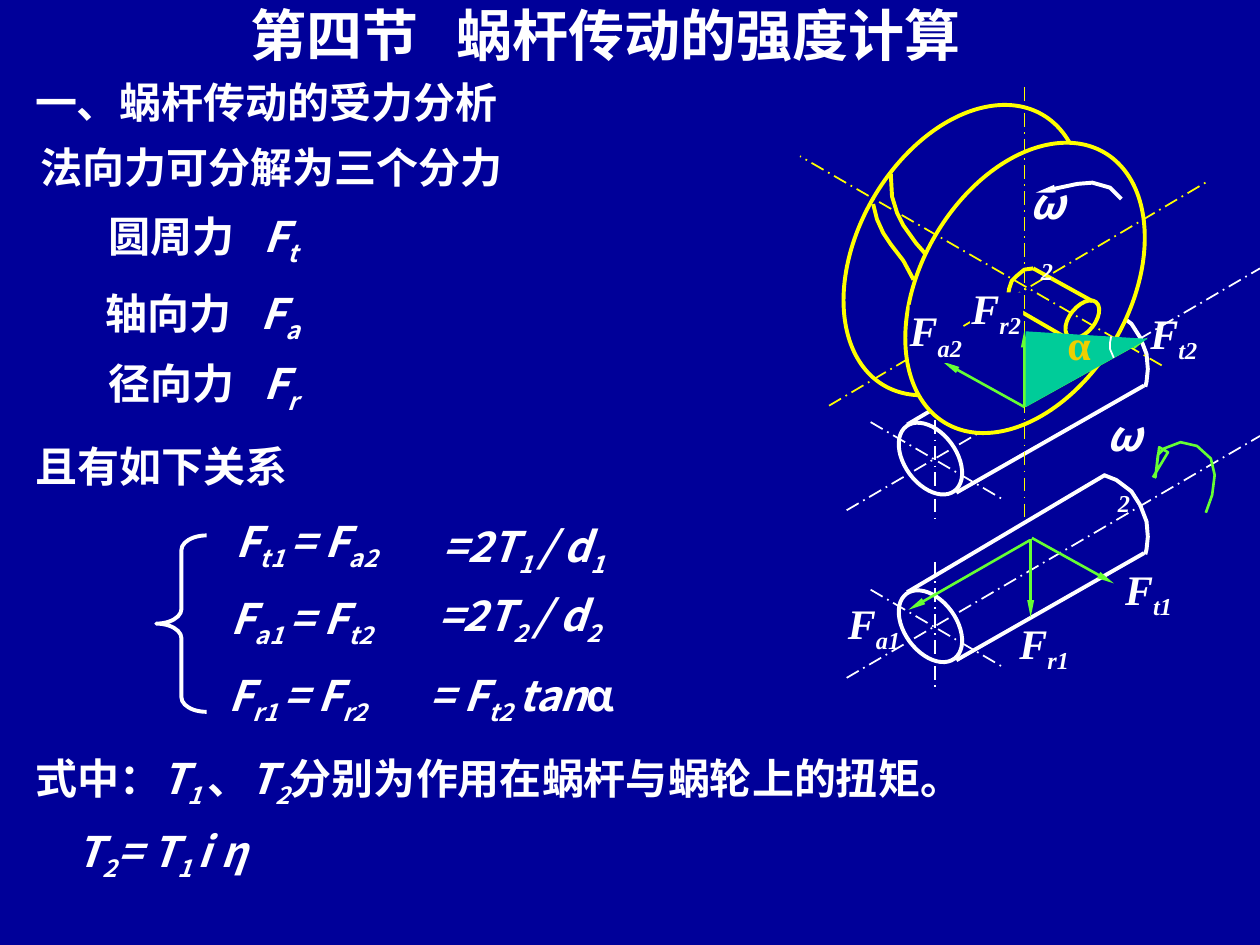
from pptx import Presentation
from pptx.dml.color import RGBColor
from pptx.enum.dml import MSO_LINE
from pptx.enum.shapes import MSO_CONNECTOR, MSO_SHAPE
from pptx.enum.text import MSO_ANCHOR, PP_ALIGN
from pptx.oxml.ns import qn
from pptx.util import Cm, Pt
from lxml.etree import SubElement

NAVY, WHITE, YELLOW, GREEN = "000099", "FFFFFF", "FFFF00", "66FF33"
SANS, SERIF = "Noto Sans CJK SC", "Times New Roman"
WORM_GAP = 1.33


def rgb(code):
    """Turn a hex string into a colour."""
    return RGBColor.from_string(code)


def u(value):
    """Turn a grid unit of 2.54 cm into a length."""
    return Cm(value * 2.54)


def style_line(shape, color, width, dash=False, arrow=False):
    """Format a line or outline."""
    ln = shape.line
    ln.fill.solid()
    ln.fill.fore_color.rgb = rgb(color)
    ln.width = Pt(width)
    if dash:
        ln.dash_style = MSO_LINE.LONG_DASH_DOT
    if arrow:
        SubElement(ln._get_or_add_ln(), qn("a:tailEnd"), type="triangle", w="sm", len="lg")


def style_shape(shape, fill, color, width, arrow=False):
    """Format the fill and outline of a shape."""
    shape.shadow.inherit = False
    if fill:
        shape.fill.solid()
        shape.fill.fore_color.rgb = rgb(fill)
    else:
        shape.fill.background()
    if color:
        style_line(shape, color, width, arrow=arrow)
    else:
        shape.line.fill.background()


def add_line(s, x1, y1, x2, y2, color=WHITE, width=2.25, dash=False, arrow=False):
    """Add a straight line."""
    c = s.shapes.add_connector(MSO_CONNECTOR.STRAIGHT, u(x1), u(y1), u(x2), u(y2))
    style_line(c, color, width, dash, arrow)
    SubElement(c._element.spPr, qn("a:effectLst"))


def add_axis(s, *ends, color=WHITE):
    """Add a dash-dot centre line."""
    add_line(s, *ends, color=color, width=1, dash=True)


def add_shape(s, kind, x, y, w, h, fill=None, color=None, width=2.25, rotation=0):
    """Add a preset shape."""
    sp = s.shapes.add_shape(kind, u(x), u(y), u(w), u(h))
    style_shape(sp, fill, color, width)
    sp.rotation = rotation
    return sp


def add_path(s, points, fill=None, color=None, width=2.25, arrow=False):
    """Add a polyline, closed when it has a fill."""
    start, *rest = [(u(x), u(y)) for x, y in points]
    fb = s.shapes.build_freeform(*start)
    fb.add_line_segments(rest, close=bool(fill))
    style_shape(fb.convert_to_shape(), fill, color, width, arrow)


def write(tf, text, size=24, font=SANS, sub_font=None, color=WHITE, align=PP_ALIGN.LEFT,
          wrap=True, inset=False, tab=None, spacing=None):
    """Write text whose parts between bars alternate normal and subscript."""
    tf.word_wrap = wrap
    tf.vertical_anchor = MSO_ANCHOR.TOP
    tf.margin_left = tf.margin_right = Cm(0.25 if inset else 0)
    tf.margin_top = tf.margin_bottom = Cm(0.13 if inset else 0)
    p = tf.paragraphs[0]
    p.alignment = align
    if spacing:
        p.line_spacing = spacing
    if tab:
        tabs = SubElement(p._p.get_or_add_pPr(), qn("a:tabLst"))
        SubElement(tabs, qn("a:tab"), pos=str(Cm(tab)), algn="l")
    for i, part in enumerate(text.split("|")):
        if not part:
            continue
        r = p.add_run()
        r.text = part
        r.font.name = sub_font if sub_font and i % 2 else font
        r.font.size, r.font.bold = Pt(size), True
        r.font.italic = not any(ch == "α" or ch > "\u2000" for ch in part)
        r.font.color.rgb = rgb(color)
        rPr = r.font._element
        SubElement(rPr, qn("a:ea"), typeface=SANS)
        if i % 2:
            rPr.set("baseline", "-25000")


def add_text(s, text, x, y, w, h=0.46, **fmt):
    """Add a text box."""
    write(s.shapes.add_textbox(u(x), u(y), u(w), u(h)).text_frame, text, **fmt)


def add_worm(s, dy):
    """Draw the worm shaft with its centre lines."""
    add_axis(s, 6.72, 4.05 + dy, 10, 2.13 + dy)
    add_shape(s, MSO_SHAPE.OVAL, 7.18, 3.32 + dy, 0.41, 0.64, color=WHITE, rotation=323.6)
    add_line(s, 7.59, 3.91 + dy, 9.08, 3.06 + dy)
    add_line(s, 7.2, 3.37 + dy, 8.77, 2.44 + dy)
    end = [(8.76, 2.44), (8.86, 2.48), (8.98, 2.57), (9.05, 2.68),
           (9.1, 2.81), (9.11, 2.93), (9.1, 3.03), (9.09, 3.07)]
    add_path(s, [(x, y + dy) for x, y in end], color=WHITE)
    add_axis(s, 6.91, 3.35 + dy, 7.97, 3.97 + dy)
    add_axis(s, 7.42, 3.13 + dy, 7.42, 4.15 + dy)


def add_wheel(s):
    """Draw the worm wheel with its hub and centre lines."""
    for x, y, fill in [(6.82, 0.74, None), (7.31, 1.04, NAVY)]:
        add_shape(s, MSO_SHAPE.OVAL, x, y, 1.65, 2.49, fill, YELLOW, rotation=30.4)
    for ends in [(6.58, 3.22, 9.6, 1.43), (8.13, 0.69, 8.13, 4.1), (9.22, 2.9, 6.35, 1.24)]:
        add_axis(s, *ends, color=YELLOW)
    teeth = [[(7.07, 1.38), (7.08, 1.56), (7.12, 1.69), (7.17, 1.79), (7.27, 1.93), (7.34, 2.01)],
             [(6.93, 1.62), (6.96, 1.74), (7.01, 1.85), (7.07, 1.94), (7.17, 2.07), (7.25, 2.22)]]
    hub = [(8.2, 2.13), (8.13, 2.14), (8.07, 2.19), (8.03, 2.23),
           (8.01, 2.29), (8, 2.35), (8.01, 2.4), (8.03, 2.44)]
    for points in teeth + [hub]:
        add_path(s, points, color=YELLOW)
    add_shape(s, MSO_SHAPE.OVAL, 8.49, 2.36, 0.2, 0.35, color=YELLOW, rotation=38.6)
    add_line(s, 8.67, 2.39, 8.2, 2.13, YELLOW)
    add_line(s, 8.46, 2.68, 8.01, 2.42, YELLOW)


def add_force(s, name, ends, x, y, mask=None):
    """Draw a force arrow with its label."""
    add_line(s, *ends, color=GREEN, width=1.5, arrow=True)
    if mask:
        add_shape(s, MSO_SHAPE.RECTANGLE, *mask, fill=NAVY)
    add_text(s, f"F|{name}", x, y, 0.5, font=SERIF, wrap=False)


def add_forces(s):
    """Draw all forces on the wheel and the worm."""
    add_force(s, "t2", (8.14, 3.22, 9.11, 2.68), 9.13, 2.44)
    add_force(s, "r2", (8.13, 3.23, 8.13, 2.62), 7.71, 2.24, (7.7, 2.32, 0.42, 0.34))
    add_force(s, "a2", (8.13, 3.23, 7.48, 2.87), 7.22, 2.42, (7.22, 2.42, 0.42, 0.46))
    add_force(s, "t1", (8.19, 4.27, 8.84, 4.63), 8.93, 4.47)
    add_force(s, "r1", (8.18, 4.28, 8.18, 4.9), 8.09, 4.9)
    add_force(s, "a1", (8.17, 4.29, 7.21, 4.84), 6.73, 4.74)


def add_rotations(s):
    """Draw the rotation arrows with their labels."""
    add_path(s, [(8.9, 1.58), (8.81, 1.49), (8.67, 1.45), (8.55, 1.46), (8.22, 1.53)],
             color=WHITE, arrow=True)
    add_path(s, [(9.57, 4.07), (9.62, 3.93), (9.64, 3.77), (9.61, 3.64), (9.5, 3.54),
                 (9.37, 3.51), (9.24, 3.56), (9.19, 3.61), (9.17, 3.79), (9.2, 3.55),
                 (9.27, 3.59), (9.15, 3.79)], color=GREEN, width=1.5)
    for x, y in [(8.16, 1.41), (8.77, 3.25)]:
        add_text(s, "ω|2", x, y, 0.3, sub_font=SERIF, align=PP_ALIGN.CENTER)


def add_angle(s):
    """Draw the pressure angle triangle."""
    add_path(s, [(8.14, 2.63), (8.14, 3.23), (9.11, 2.69)], fill="00CC99")
    add_path(s, [(8.82, 2.67), (8.81, 2.72), (8.81, 2.77), (8.84, 2.84)], color=WHITE, width=1)
    add_text(s, "α", 8.47, 2.64, 0.19, 0.28, font=SERIF, color="EECF00",
             align=PP_ALIGN.CENTER, wrap=False, spacing=0.7)


def add_notes_column(s):
    """Write the explanations and formulas."""
    add_text(s, "一、蜗杆传动的受力分析", 0.18, 0.56, 3.97, 0.5, font=SERIF, inset=True)
    add_text(s, "法向力可分解为三个分力", 0.32, 1.12, 4.95, 0.4)
    for text, x, y in [("圆周力\t||F|t", 0.86, 1.67), ("轴向力\t||F|a", 0.84, 2.28),
                       ("径向力\t||F|r", 0.86, 2.84)]:
        add_text(s, text, x, y, 2.1, tab=3.12)
    add_text(s, "且有如下关系", 0.28, 3.5, 3.32, 0.4)
    brace = add_shape(s, MSO_SHAPE.LEFT_BRACE, 1.24, 4.25, 0.4, 1.4, color=WHITE)
    brace.adjustments[0] = 0.29
    for text, x, y, w in [("F|t1 |= F|a2 ", 1.65, 4.04, 1.61), ("F|a1 |= F|t2 ", 1.61, 4.65, 1.61),
                          ("F|r1 |= F|r2 ", 1.58, 5.26, 1.61), ("=2T|1 |/ d|1 ", 3.11, 4.08, 2.14),
                          ("=2T|2 |/ d|2 ", 3.17, 4.63, 1.95)]:
        add_text(s, text, x, y, w, 0.56, align=PP_ALIGN.CENTER, inset=True)
    add_text(s, "= F|t2 |tan||α", 3.31, 5.26, 2.17, 0.56, inset=True)
    add_text(s, "式中：||T|1 |、||T|2|分别为作用在蜗杆与蜗轮上的扭矩。", 0.28, 5.97, 8.76)
    add_text(s, "T|2|= T|1 |i η", 0.51, 6.5, 2.22, 0.56, inset=True)


def add_title(s, text):
    """Place and format the title."""
    sp = s.shapes.title
    sp.left, sp.top, sp.width, sp.height = u(1.99), u(0), u(7.56), u(0.53)
    write(sp.text_frame, text, size=32, tab=4.14)


def main():
    """Build the slide on worm drive strength."""
    prs = Presentation()
    prs.slide_width, prs.slide_height = Cm(25.4), Cm(19.05)
    s = prs.slides.add_slide(prs.slide_layouts[5])
    s.background.fill.solid()
    s.background.fill.fore_color.rgb = rgb(NAVY)
    add_title(s, "第四节\t蜗杆传动的强度计算")
    add_worm(s, WORM_GAP)
    add_worm(s, 0)
    add_wheel(s)
    add_forces(s)
    add_rotations(s)
    add_notes_column(s)
    add_angle(s)
    prs.save("out.pptx")


if __name__ == "__main__":
    main()
